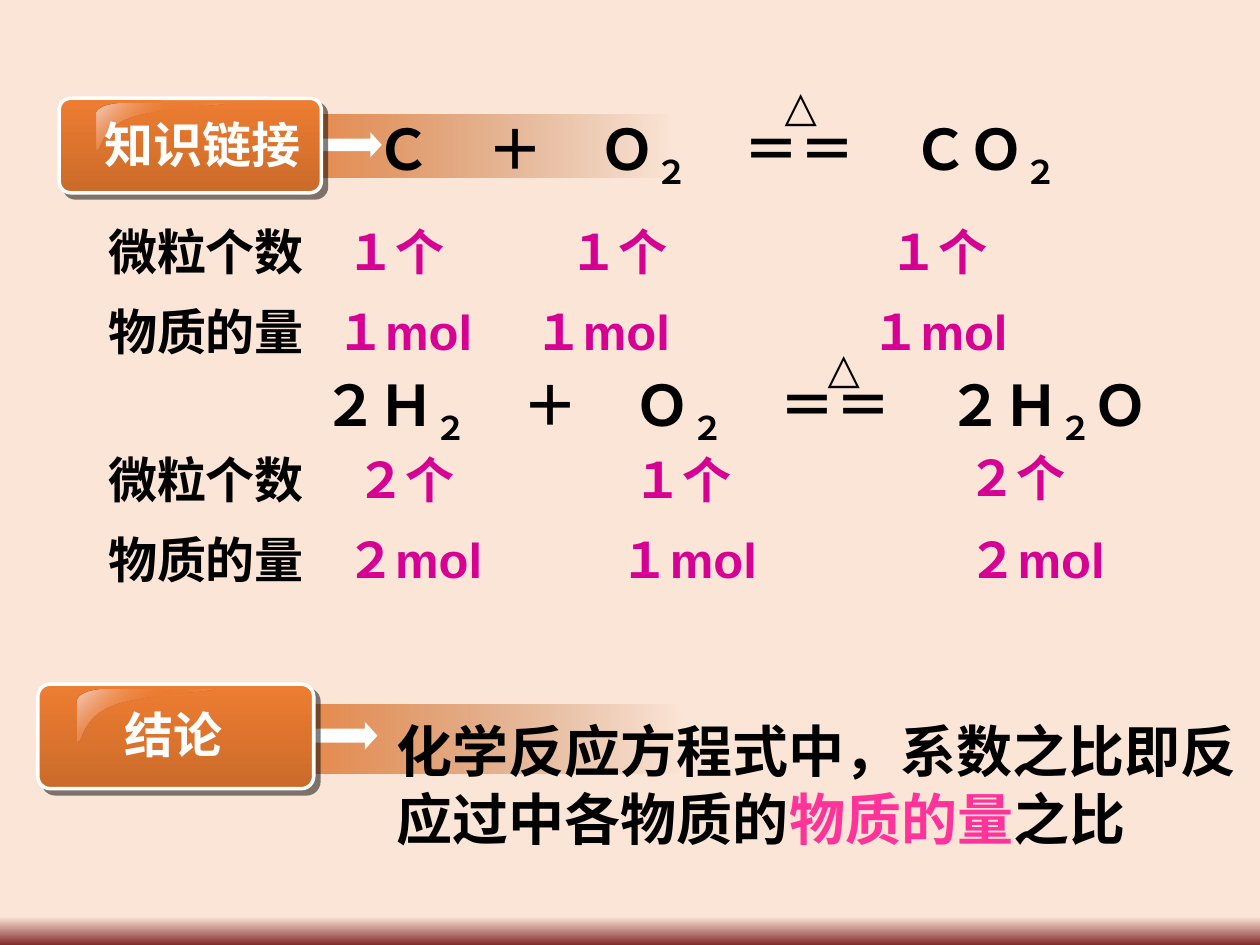
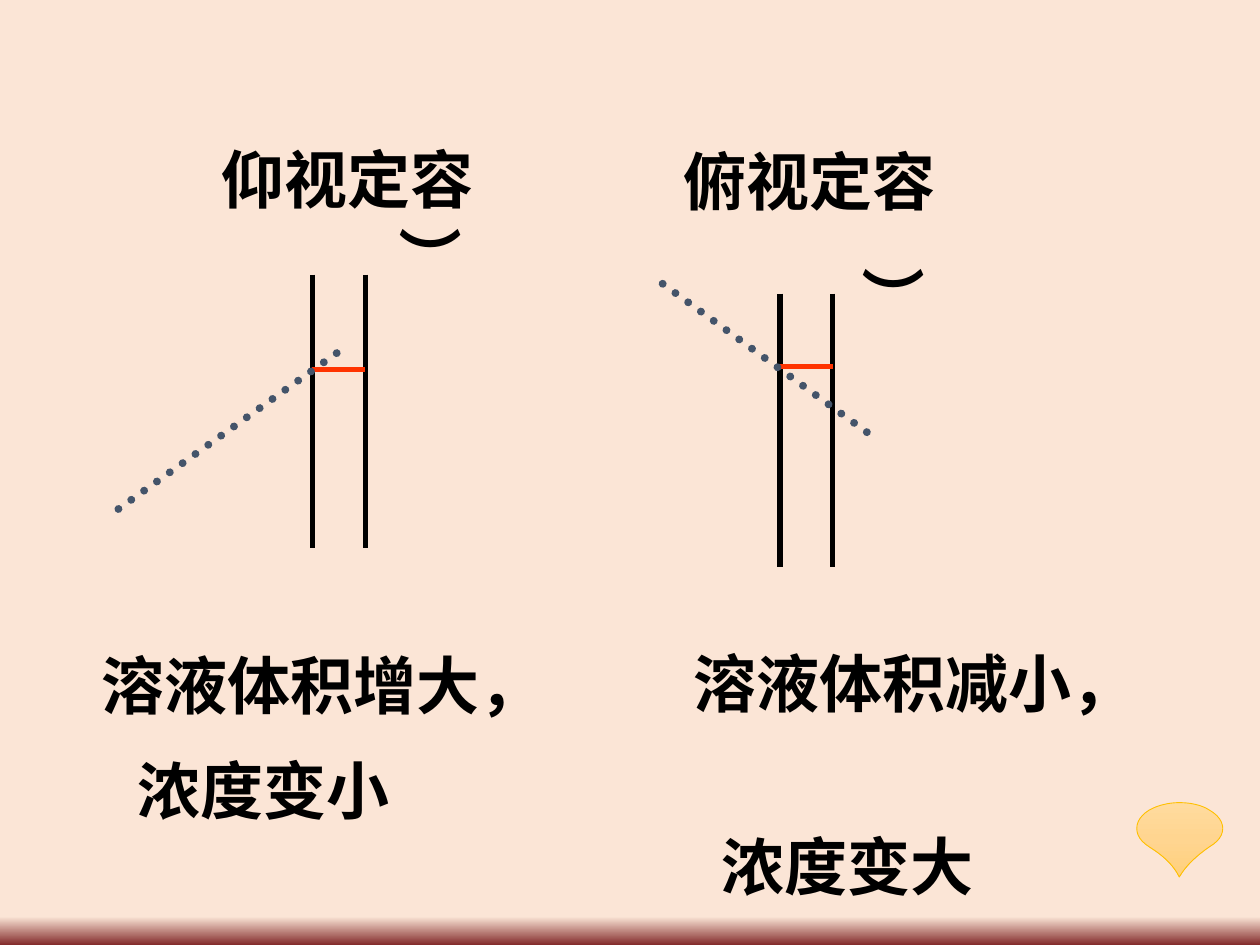
from dataclasses import dataclass

from lxml.etree import SubElement
from pptx import Presentation
from pptx.dml.color import RGBColor
from pptx.enum.dml import MSO_LINE
from pptx.enum.shapes import MSO_CONNECTOR, MSO_SHAPE
from pptx.enum.text import MSO_AUTO_SIZE, PP_ALIGN
from pptx.oxml.ns import qn
from pptx.util import Inches, Pt

BLACK = RGBColor(0x00, 0x00, 0x00)
WHITE = RGBColor(0xFF, 0xFF, 0xFF)
OFF_WHITE = RGBColor(0xFE, 0xFE, 0xFE)
PEACH = RGBColor(0xFB, 0xE5, 0xD6)
MAROON = RGBColor(0x83, 0x2B, 0x2B)
MAGENTA = RGBColor(0xD6, 0x00, 0x93)
PINK = RGBColor(0xFF, 0x33, 0x99)
ORANGE = RGBColor(0xED, 0x7D, 0x31)
BUTTON_ORANGE = RGBColor(0xCB, 0x6B, 0x2A)
BAND_BROWN = RGBColor(0xAA, 0x59, 0x23)
GLOSS = RGBColor(0xF6, 0xCD, 0xC1)
RED = RGBColor(0xFF, 0x33, 0x00)
SLATE = RGBColor(0x44, 0x54, 0x6A)
GOLD = RGBColor(0xFF, 0xC0, 0x00)
DROP_TOP = RGBColor(0xFF, 0xDB, 0x9E)
DROP_MIDDLE = RGBColor(0xFF, 0xD5, 0x90)
DROP_BOTTOM = RGBColor(0xFF, 0xD0, 0x7C)

# Outlines: a pair is a straight segment, six numbers a Bezier curve.
GLOSS_OUTLINE = [(0.5, 0.04), (0.39, 0.04, 0.3, 0.08, 0.3, 0.12), (0.3, 0.41),
                 (0.35, 0.42, 0.32, 0.24, 0.58, 0.15),
                 (0.84, 0.07, 1.33, 0.06, 1.32, 0.04)]
DROP_OUTLINE = [(9.36, 6.37), (9.45, 6.37, 9.54, 6.39, 9.6, 6.43),
                (9.74, 6.51, 9.74, 6.64, 9.6, 6.72),
                (9.5, 6.79, 9.42, 6.86, 9.36, 6.96),
                (9.31, 6.86, 9.23, 6.79, 9.12, 6.72),
                (8.99, 6.64, 8.99, 6.51, 9.12, 6.43),
                (9.19, 6.39, 9.28, 6.37, 9.36, 6.37)]
BUTTON_WIDTH, BUTTON_HEIGHT = 2.08, 0.75
ROW_LABEL_LEFT, ROW_HEIGHT = 0.76, 0.57
TUBE_WIDTH, TUBE_HEIGHT = 0.42, 2.17


@dataclass
class Box:
    left: float
    top: float
    width: float
    height: float

    def lengths(self) -> list:
        return [Inches(n) for n in (self.left, self.top, self.width, self.height)]


@dataclass
class Span:
    text: str
    color: RGBColor = BLACK
    subscript: bool = False


@dataclass
class Style:
    font: str = "Arial"
    size: int = 28
    align: PP_ALIGN = PP_ALIGN.LEFT
    wrap: bool = True


@dataclass
class Badge:
    button: Box
    band: Box
    label: str
    label_box: Box


@dataclass
class Row:
    label: str
    top: float
    label_width: float
    values: list  # (text, left, top, width)


@dataclass
class Reading:
    """One way of reading the mark on a flask neck."""
    title: str
    title_box: Box
    tube_left: float
    tube_top: float
    mark_y: float
    sight: tuple
    meniscus: Box
    effects: list
    effects_box: Box
    second_indent: float
    second_space: int


FORMULA = Style(size=32, wrap=False)
TRIANGLE = Style(size=24, wrap=False)
READING = Style("Times New Roman", 36)


def set_gradient(fill, element, angle: int, stops: list) -> None:
    """Stops are (position %, colour, opacity %); the angle runs clockwise."""
    fill.gradient()
    fill.gradient_angle = (360 - angle) % 360
    stop_list = next(element.iter(qn("a:gsLst")))
    for stop in list(stop_list):
        stop_list.remove(stop)
    for position, color, opacity in stops:
        stop = SubElement(stop_list, qn("a:gs"), pos=str(position * 1000))
        rgb = SubElement(stop, qn("a:srgbClr"), val=str(color))
        if opacity < 100:
            SubElement(rgb, qn("a:alpha"), val=str(opacity * 1000))


def add_slide(presentation):
    slide = presentation.slides.add_slide(presentation.slide_layouts[6])
    set_gradient(slide.background.fill, slide._element, 90,
                 [(97, PEACH, 86), (100, MAROON, 100)])
    return slide


def add_text(slide, box: Box, paragraphs: list, style: Style = Style()):
    shape = slide.shapes.add_textbox(*box.lengths())
    frame = shape.text_frame
    frame.word_wrap = style.wrap
    frame.auto_size = MSO_AUTO_SIZE.SHAPE_TO_FIT_TEXT
    for index, spans in enumerate(paragraphs):
        paragraph = frame.add_paragraph() if index else frame.paragraphs[0]
        paragraph.alignment = style.align
        for span in spans:
            run = paragraph.add_run()
            run.text = span.text
            run.font.name = style.font
            run.font.size = Pt(style.size)
            run.font.bold = True
            run.font.color.rgb = span.color
            properties = run._r.get_or_add_rPr()
            properties.set("lang", "zh-CN")
            if span.subscript:
                properties.set("baseline", "-25000")
    return shape


def formula_spans(formula: str) -> list[Span]:
    """Split at underscores; every second part is a subscript."""
    return [Span(part, subscript=index % 2 == 1)
            for index, part in enumerate(formula.split("_")) if part]


def add_formula(slide, box: Box, formula: str, triangle: Box) -> None:
    add_text(slide, box, [formula_spans(formula)], FORMULA)
    add_text(slide, triangle, [[Span("△")]], TRIANGLE)


def add_preset(slide, kind, box: Box, adjustments: list):
    shape = slide.shapes.add_shape(kind, *box.lengths())
    for index, value in enumerate(adjustments):
        shape.adjustments[index] = value
    shape.shadow.inherit = False
    shape.line.fill.background()
    return shape


def add_outline(slide, outline: list, gradient_angle: int, stops: list):
    x, y = outline[0]
    builder = slide.shapes.build_freeform(Inches(x), Inches(y))
    points = []
    for segment in outline[1:]:
        if len(segment) == 2:
            points.append(segment)
        else:
            x1, y1, x2, y2, x3, y3 = segment
            for step in range(1, 13):
                t = step / 12
                weights = ((1 - t) ** 3, 3 * t * (1 - t) ** 2, 3 * t * t * (1 - t), t ** 3)
                points.append(tuple(sum(w * n for w, n in zip(weights, values))
                                    for values in ((x, x1, x2, x3), (y, y1, y2, y3))))
        x, y = points[-1]
    builder.add_line_segments([(Inches(px), Inches(py)) for px, py in points], close=True)
    shape = builder.convert_to_shape()
    shape.shadow.inherit = False
    shape.line.fill.background()
    set_gradient(shape.fill, shape._element, gradient_angle, stops)
    return shape


def add_badge(slide, badge: Badge) -> None:
    button = badge.button
    scale_x, scale_y = button.width / BUTTON_WIDTH, button.height / BUTTON_HEIGHT
    band = add_preset(slide, MSO_SHAPE.ROUNDED_RECTANGLE, badge.band, [0.115])
    set_gradient(band.fill, band._element, 0, [(0, ORANGE, 100), (100, BAND_BROWN, 0)])

    arrow_box = Box(button.left + button.width, button.top + 0.27 * scale_y,
                    0.48 * scale_x, 0.2 * scale_y)
    arrow = add_preset(slide, MSO_SHAPE.RIGHT_ARROW, arrow_box, [0.5, 0.451])
    arrow.fill.solid()
    arrow.fill.fore_color.rgb = OFF_WHITE

    face = add_preset(slide, MSO_SHAPE.ROUNDED_RECTANGLE, button, [0.119])
    set_gradient(face.fill, face._element, 90, [(0, ORANGE, 100), (100, BUTTON_ORANGE, 100)])
    face.line.color.rgb = OFF_WHITE
    face.line.width = Pt(2)
    effects = face._element.spPr.find(qn("a:effectLst"))
    shadow = SubElement(effects, qn("a:outerShdw"), dist=str(Pt(4.2)), dir="2700000",
                        algn="ctr", rotWithShape="0")
    rgb = SubElement(shadow, qn("a:srgbClr"), val=str(BLACK))
    SubElement(rgb, qn("a:alpha"), val="50000")

    origin, scale = (button.left, button.top), (scale_x, scale_y)
    outline = [tuple(origin[i % 2] + n * scale[i % 2] for i, n in enumerate(segment))
               for segment in GLOSS_OUTLINE]
    add_outline(slide, outline, 45, [(0, GLOSS, 100), (50, ORANGE, 0), (100, GLOSS, 100)])
    add_text(slide, badge.label_box, [[Span(badge.label, WHITE)]],
             Style(align=PP_ALIGN.CENTER))


def add_row(slide, row: Row) -> None:
    add_text(slide, Box(ROW_LABEL_LEFT, row.top, row.label_width, ROW_HEIGHT),
             [[Span(row.label)]])
    for text, left, top, width in row.values:
        add_text(slide, Box(left, top, width, ROW_HEIGHT), [[Span(text, MAGENTA)]])


def add_line(slide, start: tuple, end: tuple, color: RGBColor, width: float = 3,
             dotted: bool = False) -> None:
    line = slide.shapes.add_connector(MSO_CONNECTOR.STRAIGHT,
                                      *(Inches(n) for n in (*start, *end)))
    line.line.color.rgb = color
    line.line.width = Pt(width)
    if dotted:
        line.line.dash_style = MSO_LINE.ROUND_DOT
        line.line._get_or_add_ln().set("cap", "rnd")
    SubElement(line._element.spPr, qn("a:effectLst"))


def add_reading(slide, reading: Reading) -> None:
    left, right = reading.tube_left, reading.tube_left + TUBE_WIDTH
    for x in (left, right):
        add_line(slide, (x, reading.tube_top), (x, reading.tube_top + TUBE_HEIGHT), BLACK)
    add_line(slide, (left, reading.mark_y), (right, reading.mark_y), RED)
    meniscus = add_text(slide, reading.meniscus, [[Span("（")]], READING)
    meniscus.text_frame.auto_size = MSO_AUTO_SIZE.NONE
    meniscus.rotation = 270
    add_line(slide, *reading.sight, SLATE, 4.5, dotted=True)
    add_text(slide, reading.title_box, [[Span(reading.title)]], READING)
    effects = add_text(slide, reading.effects_box,
                       [[Span(text)] for text in reading.effects], READING)
    second = effects.text_frame.paragraphs[1]
    second.space_before = Pt(reading.second_space)
    properties = second._p.get_or_add_pPr()
    properties.set("marL", str(Inches(reading.second_indent)))
    properties.set("indent", "0")


def build_equation_slide(presentation) -> None:
    slide = add_slide(presentation)
    rows = [
        Row("微粒个数", 1.71, 2.58, [("１个", 2.65, 1.71, 0.98), ("１个", 4.42, 1.71, 1.33),
                                 ("１个", 6.96, 1.71, 1.63)]),
        Row("物质的量", 2.34, 2.49, [("１mol", 2.57, 2.34, 1.89), ("１mol", 4.14, 2.34, 1.97),
                                 ("１mol", 6.82, 2.34, 2.2)]),
        Row("微粒个数", 3.52, 2.16, [("２个", 2.73, 3.52, 1.69), ("１个", 4.93, 3.52, 1.57),
                                 ("２个", 7.58, 3.5, 1.31)]),
        Row("物质的量", 4.15, 2.16, [("２mol", 2.65, 4.15, 2.12), ("１mol", 4.83, 4.15, 2.31),
                                 ("２mol", 7.59, 4.15, 1.99)]),
    ]
    for row in rows:
        add_row(slide, row)
    add_formula(slide, Box(2.46, 2.89, 6.88, 0.63), "２Ｈ_２_　＋　Ｏ_２_　＝＝　２Ｈ_２_Ｏ",
                Box(6.47, 2.66, 0.53, 0.5))
    add_badge(slide, Badge(Box(0.47, 0.78, BUTTON_WIDTH, BUTTON_HEIGHT),
                           Box(1.78, 0.91, 3.56, 0.5), "知识链接",
                           Box(0.3, 0.86, 2.61, 1.37)))
    add_formula(slide, Box(2.88, 0.86, 5.7, 0.63), "Ｃ　＋　Ｏ_２_　＝＝　ＣＯ_２_",
                Box(6.13, 0.58, 0.54, 0.5))
    add_badge(slide, Badge(Box(0.3, 5.43, 2.19, 0.83), Box(1.8, 5.59, 3.62, 0.55),
                           "结论", Box(0.3, 5.54, 2.15, 0.62)))
    add_text(slide, Box(3.05, 5.64, 6.88, 1.7),
             [[Span("化学反应方程式中，系数之比即反应过中各物质的"),
               Span("物质的量", PINK), Span("之比")]], Style(size=32))


def build_reading_slide(presentation) -> None:
    slide = add_slide(presentation)
    readings = [
        Reading("俯视定容", Box(5.33, 1.08, 3.26, 0.7), 6.19, 2.33, 2.91,
                ((6.88, 3.43), (5.16, 2.18)), Box(6.71, 1.99, 0.75, 0.7),
                ["溶液体积减小，", "浓度变大"], Box(5.41, 5.07, 4, 1.6), 0.22, 61),
        Reading("仰视定容", Box(1.66, 1.07, 2.75, 0.7), 2.48, 2.18, 2.93,
                ((0.94, 4.04), (2.69, 2.79)), Box(3.03, 1.67, 0.75, 0.7),
                ["溶液体积增大，", "浓度变小"], Box(0.71, 5.08, 4.1, 1.6), 0.28, 17),
    ]
    for reading in readings:
        add_reading(slide, reading)
    drop = add_outline(slide, DROP_OUTLINE, 90,
                       [(0, DROP_TOP, 100), (50, DROP_MIDDLE, 100), (100, DROP_BOTTOM, 100)])
    drop.line.color.rgb = GOLD
    drop.line.width = Pt(0.5)


def main() -> None:
    presentation = Presentation()
    presentation.slide_width = Inches(10)
    presentation.slide_height = Inches(7.5)
    build_equation_slide(presentation)
    build_reading_slide(presentation)
    presentation.save("out.pptx")


if __name__ == "__main__":
    main()
